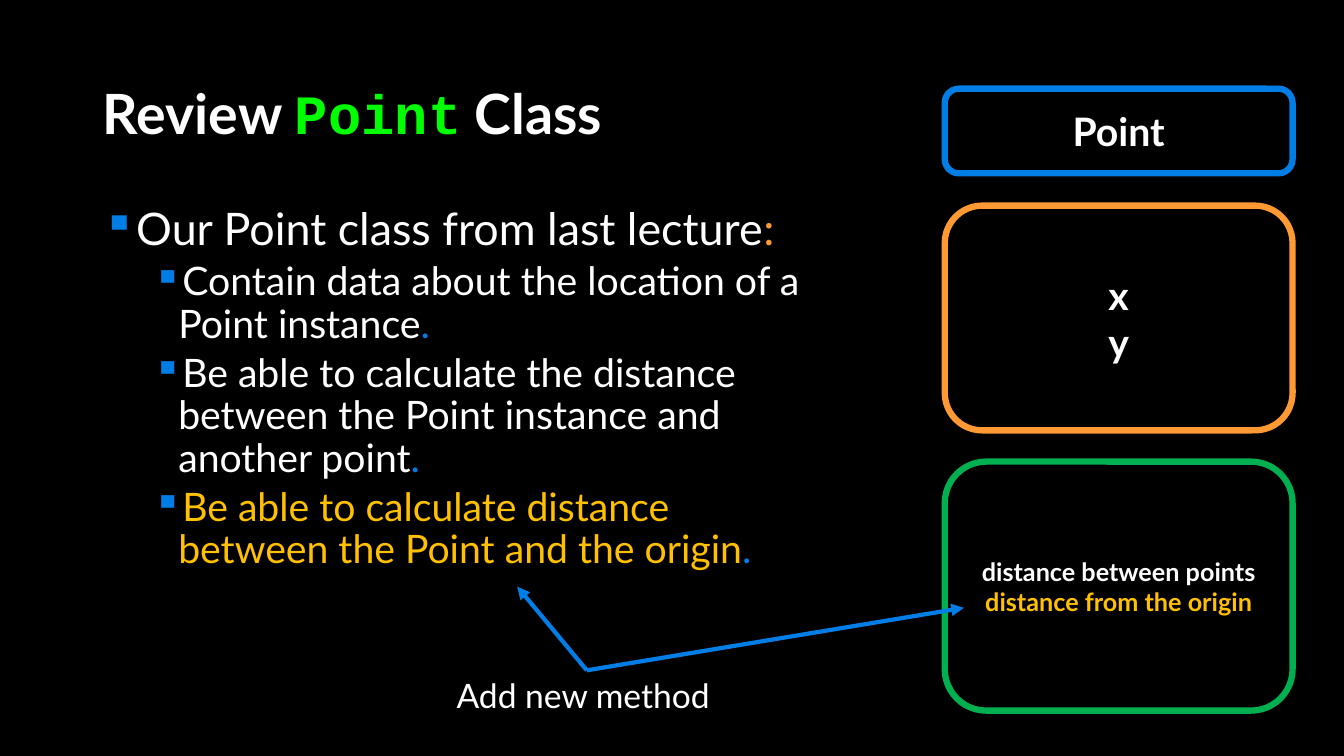
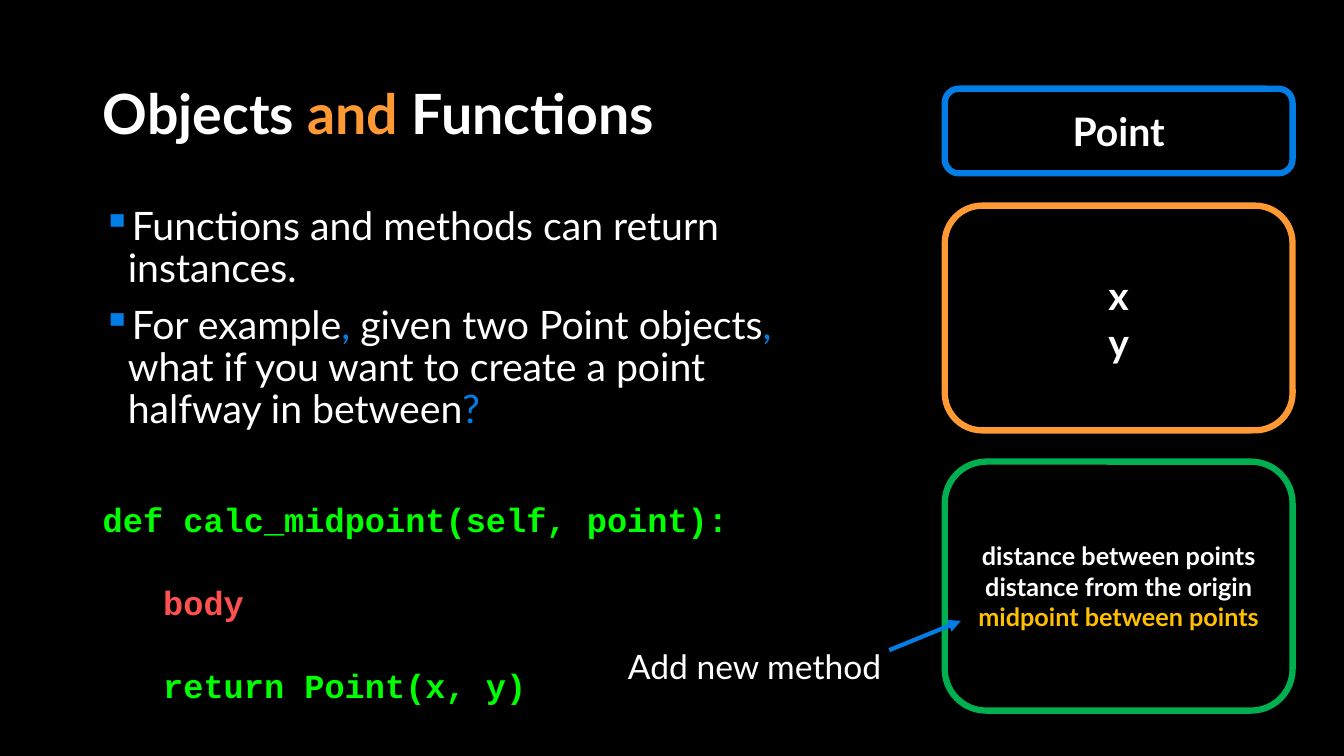
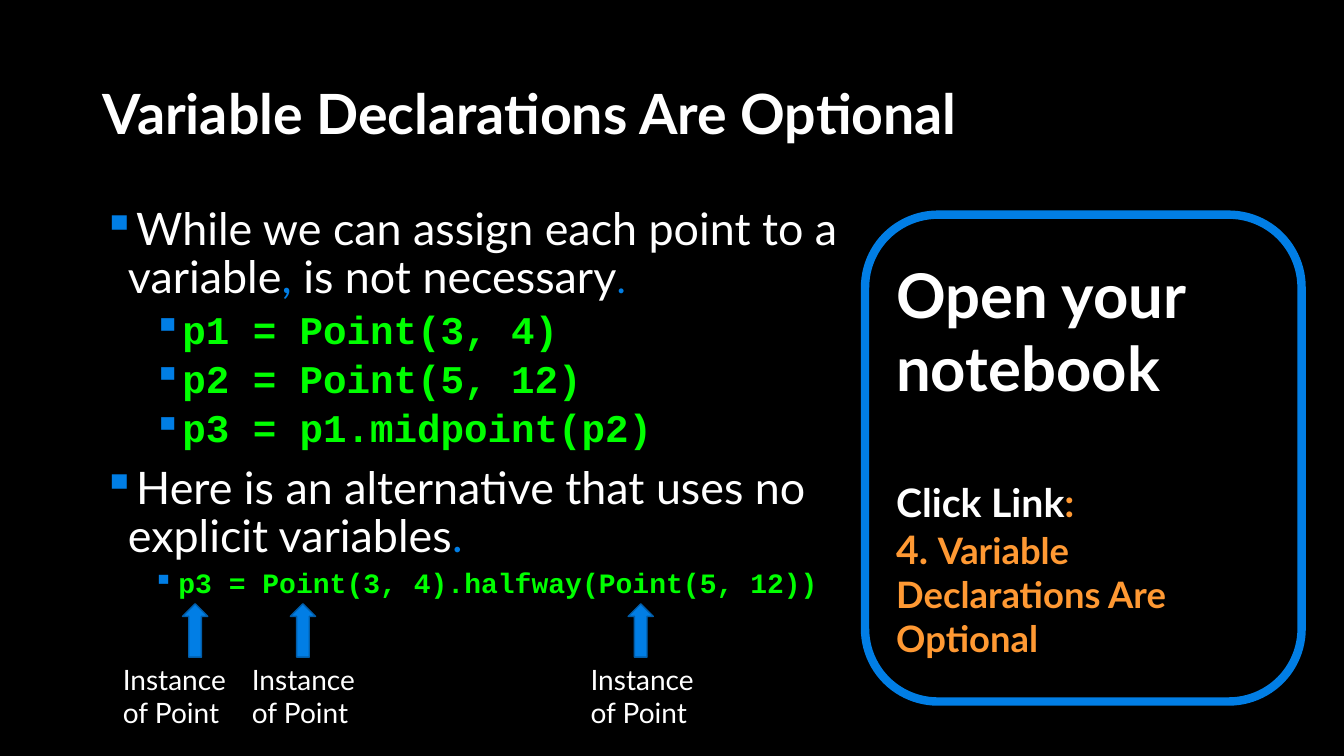
from pptx import Presentation
from pptx.dml.color import RGBColor
from pptx.enum.shapes import MSO_CONNECTOR, MSO_SHAPE
from pptx.enum.text import MSO_ANCHOR, PP_ALIGN
from pptx.oxml.ns import qn
from pptx.util import Inches, Pt
from lxml.etree import SubElement

HUES = {
    "black": "000000", "white": "FFFFFF", "blue": "017EE5", "navy": "015DA9",
    "bullet": "007EE5", "orange": "FF9933", "gold": "FFC000",
    "green": "00B050", "lime": "00FF00", "red": "FF5050",
}
TINT = {name: RGBColor.from_string(code) for name, code in HUES.items()}
CODE = ("lime", "red")


def write(frame, paras, size, bold=False, align=PP_ALIGN.LEFT, anchor=MSO_ANCHOR.TOP):
    """Fill a frame; each run is (text, hue) or (text, hue, size), and code hues set the code font."""
    frame.word_wrap = True
    frame.vertical_anchor = anchor
    for i, runs in enumerate(paras):
        para = frame.paragraphs[0] if i == 0 else frame.add_paragraph()
        para.alignment = align
        for text, hue, *own in runs:
            run = para.add_run()
            run.text = text
            font = run.font
            font.name = "Courier New" if hue in CODE else "Lato"
            font.size = Pt(own[0] if own else size)
            font.bold = bold or hue in CODE
            font.color.rgb = TINT[hue]
    return frame.paragraphs


def shape(slide, kind, at, line, width, fill=None):
    item = slide.shapes.add_shape(kind, *map(Inches, at))
    item.shadow.inherit = False
    if fill:
        item.fill.solid()
        item.fill.fore_color.rgb = TINT[fill]
    else:
        item.fill.background()
    item.line.color.rgb = TINT[line]
    item.line.width = Pt(width)
    return item


deck = Presentation()
deck.slide_width, deck.slide_height = Inches(13.33), Inches(7.5)
back = deck.slide_master.background.fill
back.solid()
back.fore_color.rgb = TINT["black"]

# Title runs, body width, then bullets as (level, size, runs)
pages = [
    ([("Review ", "white"), ("Point", "lime"), (" Class", "white")], 7.31, [
        (0, 32, [("Our Point class from last lecture", "white"), (":", "orange")]),
        (1, 28, [("Contain data about the location of a Point instance", "white"),
                 (".", "blue")]),
        (1, 28, [("Be able to calculate the distance between the Point instance "
                  "and another point", "white"), (".", "blue")]),
        (1, 28, [("Be able to calculate distance between the Point and the origin",
                  "gold"), (".", "blue")]),
    ]),
    ([("Objects ", "white"), ("and", "orange"), (" Functions", "white")], 6.93, [
        (0, 28, [("Functions and methods can return instances.", "white")]),
        (0, 28, [("For example", "white"), (",", "blue"),
                 (" given two Point objects", "white"), (",", "blue"),
                 (" what if you want to create a point halfway in between", "white"),
                 ("?", "blue")]),
    ]),
    ([("Variable Declarations Are Optional", "white")], 7.52, [
        (0, 32, [("While we can assign each point to a variable", "white"),
                 (",", "blue"), (" is not necessary", "white"), (".", "blue", 28)]),
        (1, 28, [("p1 = Point(3, 4)", "lime")]),
        (1, 28, [("p2 = Point(5, 12)", "lime")]),
        (1, 28, [("p3 = p1.midpoint(p2)", "lime")]),
        (0, 32, [("Here is an alternative that uses no explicit variables", "white"),
                 (".", "blue")]),
        (1, 20, [("p3 = Point(3, 4).halfway(Point(5, 12))", "lime")]),
    ]),
]

slides = []
for head, width, points in pages:
    slide = deck.slides.add_slide(deck.slide_layouts[5])
    slides.append(slide)
    title = slide.shapes.title
    title.left, title.top = Inches(0.92), Inches(0.8)
    title.width, title.height = Inches(11.5), Inches(0.72)
    write(title.text_frame, [head], 39.6, True, anchor=MSO_ANCHOR.MIDDLE)[0].line_spacing = 0.9

    body = slide.shapes.add_textbox(Inches(0.92), Inches(2), Inches(width), Inches(5.29))
    paras = write(body.text_frame, [runs for _, _, runs in points], 28)
    for para, (level, size, runs) in zip(paras, points):
        para.level = level
        para.line_spacing = 0.9
        para.space_before = Pt(5 if level else 10)
        for run, (_, _, *own) in zip(para.runs, runs):
            run.font.size = Pt(own[0] if own else size)
        props = para._p.get_or_add_pPr()
        props.set("marL", str(Inches(0.25 + 0.5 * level)))
        props.set("indent", str(Inches(-0.25)))
        color = SubElement(props, qn("a:buClr"))
        SubElement(color, qn("a:srgbClr")).set("val", HUES["bullet"])
        SubElement(props, qn("a:buChar")).set("char", "▪")

review, objects, options = slides

# Code sample
code = objects.shapes.add_textbox(Inches(0.92), Inches(4.9), Inches(6.68), Inches(2.12))
lines = write(code.text_frame, [
    [("def calc_midpoint(self, point):", "lime")],
    [("body", "red")],
    [("return Point(x, y)", "lime")],
], 24)
for para in lines[1:]:
    para.space_before = Pt(30.5)
    para._p.get_or_add_pPr().set("marL", str(Inches(0.6)))

# Class diagram, method label and its arrows
far, near = "distance between points", "distance from the origin"
plans = [
    (review, [(far, "white"), (near, "gold")], (4.43, 6.65),
     [(5.82, 6.65, 5.13, 5.82), (5.82, 6.65, 9.56, 6.03)]),
    (objects, [(far, "white"), (near, "white"), ("midpoint between points", "gold")],
     (6.13, 6.36), [(8.82, 6.45, 9.53, 6.16)]),
]
for slide, methods, spot, arrows in plans:
    for top, height, hue, size, rows in [
        (0.88, 0.84, "blue", 28, [("Point", "white")]),
        (2.04, 2.23, "orange", 28, [("x", "white"), ("y", "white")]),
        (4.58, 2.47, "green", 18, methods),
    ]:
        box = shape(slide, MSO_SHAPE.ROUNDED_RECTANGLE, (9.37, top, 3.45, height), hue, 4.5)
        write(box.text_frame, [[row] for row in rows], size, True,
              PP_ALIGN.CENTER, MSO_ANCHOR.MIDDLE)
    label = slide.shapes.add_textbox(*map(Inches, (*spot, 2.78, 0.5)))
    write(label.text_frame, [[("Add new method", "white")]], 24)
    for ends in arrows:
        arrow = slide.shapes.add_connector(MSO_CONNECTOR.STRAIGHT, *map(Inches, ends))
        if slide is review:
            arrow.begin_connect(label, 0)
        arrow.line.color.rgb = TINT["blue"]
        arrow.line.width = Pt(3)
        SubElement(arrow.line._get_or_add_ln(), qn("a:tailEnd")).set("type", "triangle")
        SubElement(arrow._element.spPr, qn("a:effectLst"))

# Notebook card
card = shape(options, MSO_SHAPE.ROUNDED_RECTANGLE, (8.58, 2.13, 4.33, 4.83), "blue", 6)
rows = write(card.text_frame, [
    [("Open your notebook", "white", 44)],
    [("Click Link", "white"), (":", "orange")],
    [("4. ", "orange"), ("Variable Declarations Are Optional", "orange", 26)],
], 28, True, anchor=MSO_ANCHOR.MIDDLE)
rows[1].space_before = Pt(52.8)

# Instance markers under the last code line
for left, stem in [(1.12, 1.81), (2.4, 2.88), (5.76, 6.23)]:
    note = options.shapes.add_textbox(Inches(left), Inches(6.52), Inches(1.26), Inches(0.77))
    write(note.text_frame, [[("Instance of Point", "white")]], 20)
    shape(options, MSO_SHAPE.UP_ARROW, (stem, 5.99, 0.25, 0.53), "navy", 1, "blue")

deck.save("out.pptx")
